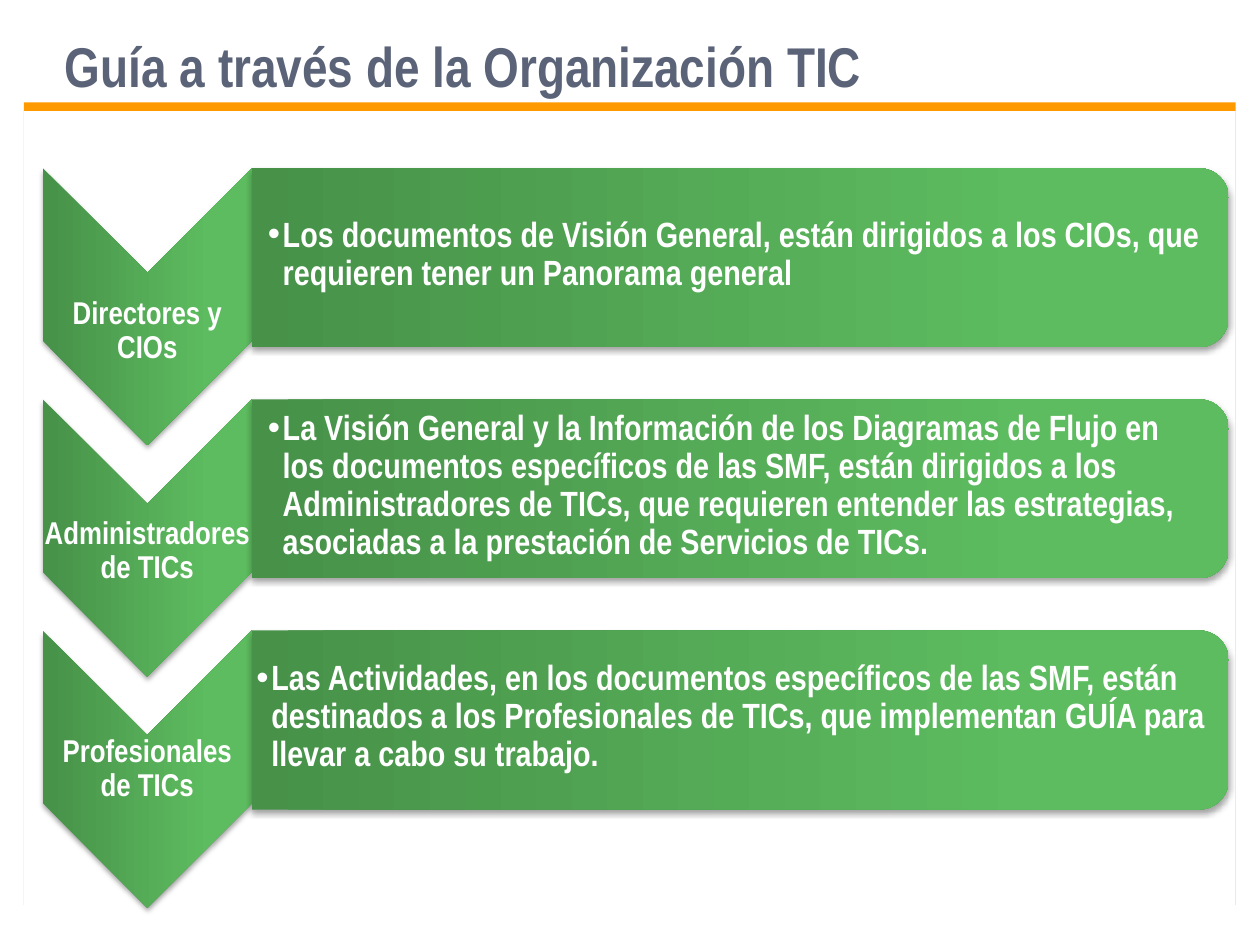
from lxml.etree import SubElement
from pptx import Presentation
from pptx.dml.color import RGBColor
from pptx.enum.shapes import MSO_SHAPE
from pptx.enum.text import MSO_ANCHOR, PP_ALIGN
from pptx.oxml.ns import qn
from pptx.util import Cm, Pt

WHITE = RGBColor(0xFF, 0xFF, 0xFF)
BLACK = RGBColor(0x00, 0x00, 0x00)
SLATE = RGBColor(0x5A, 0x63, 0x78)
ORANGE = RGBColor(0xFF, 0x99, 0x00)
GREEN_STOPS = [
    (0, RGBColor(0x47, 0x91, 0x49)),
    (80, RGBColor(0x5D, 0xBC, 0x5F)),
    (100, RGBColor(0x5B, 0xBF, 0x5E)),
]
FONT = "Arial Narrow"

ROWS = [
    ("Directores y CIOs", 2.44,
     "Los documentos de Visión General, están dirigidos a los CIOs, que "
     "requieren tener un Panorama general", 4.24, 21.39),
    ("Administradores de TICs", 2.22,
     "La Visión General y la Información de los Diagramas de Flujo en los "
     "documentos específicos de las SMF, están dirigidos a los Administradores "
     "de TICs, que requieren entender las estrategias, asociadas a la "
     "prestación de Servicios de TICs.", 4.24, 19.25),
    ("Profesionales de TICs", 1.96,
     "Las Actividades, en los documentos específicos de las SMF, están "
     "destinados a los Profesionales de TICs, que implementan GUÍA para llevar "
     "a cabo su trabajo.", 4.01, 19.46),
]


def add_shadow(sp, color, alpha, blur, dist, angle):
    sp.shadow.inherit = False
    effects = sp._element.spPr.find(qn("a:effectLst"))
    shadow = SubElement(effects, qn("a:outerShdw"), blurRad=str(Pt(blur)),
                        dist=str(Pt(dist)), dir=str(angle * 60000),
                        algn="ctr", rotWithShape="0")
    clr = SubElement(shadow, qn("a:srgbClr"), val=str(color))
    SubElement(clr, qn("a:alpha"), val=str(alpha * 1000))


def fill_green(sp):
    sp.fill.gradient()
    sp.fill.gradient_angle = 90
    stops = sp._element.spPr.find(qn("a:gradFill")).find(qn("a:gsLst"))
    for stop in list(stops):
        stops.remove(stop)
    for pos, color in GREEN_STOPS:
        stop = SubElement(stops, qn("a:gs"), pos=str(pos * 1000))
        SubElement(stop, qn("a:srgbClr"), val=str(color))


def add_turned_shape(s, kind, left, top, width, height):
    sp = s.shapes.add_shape(kind, Cm(left + (width - height) / 2),
                            Cm(top + (height - width) / 2),
                            Cm(height), Cm(width))
    sp.rotation = 90
    fill_green(sp)
    sp.line.fill.background()
    add_shadow(sp, BLACK, 35, 3.1, 1.8, 90)


def add_text(s, text, left, top, width, height, size, color, insets):
    tf = s.shapes.add_textbox(Cm(left), Cm(top), Cm(width), Cm(height)).text_frame
    tf.word_wrap = True
    tf.vertical_anchor = MSO_ANCHOR.MIDDLE
    tf.margin_left, tf.margin_top, tf.margin_right, tf.margin_bottom = map(Cm, insets)
    tf.text = text
    p = tf.paragraphs[0]
    p.line_spacing = 0.9
    font = p.runs[0].font
    font.name, font.size, font.bold = FONT, Pt(size), True
    font.color.rgb = color
    return p


def add_bullet(p, indent):
    pPr = p._p.get_or_add_pPr()
    pPr.set("marL", str(Cm(indent)))
    pPr.set("indent", str(-Cm(indent)))
    SubElement(pPr, qn("a:buFont"), typeface="Arial")
    SubElement(pPr, qn("a:buChar"), char="•")


def add_header(s, left, top, width):
    panel = s.shapes.add_shape(MSO_SHAPE.RECTANGLE, Cm(left), Cm(top + 1.6),
                               Cm(width), Cm(16.18))
    panel.fill.solid()
    panel.fill.fore_color.rgb = WHITE
    panel.line.fill.background()
    add_shadow(panel, ORANGE, 100, 0, 5, 270)
    add_text(s, "Guía a través de la Organización TIC", left + 0.58, top,
             24.33, 1.5, 32, SLATE, (0.25, 0.13, 0.25, 0.13))


def add_row(s, left, top, label, label_top, text, text_left, text_width):
    add_turned_shape(s, MSO_SHAPE.CHEVRON, left, top, 4.22, 5.59)
    p = add_text(s, label, left, top + label_top, 4.22, 1.68, 18, WHITE, [0.03] * 4)
    p.alignment = PP_ALIGN.CENTER
    add_turned_shape(s, MSO_SHAPE.ROUND_2_SAME_RECTANGLE,
                     left + 4.22, top, 19.69, 3.61)
    p = add_text(s, text, left + text_left, top + 0.43, text_width, 2.64,
                 20, WHITE, (0.3, 0.03, 0.03, 0.03))
    add_bullet(p, 0.3)


def main():
    prs = Presentation()
    prs.slide_width, prs.slide_height = Cm(25.4), Cm(19.05)
    s = prs.slides.add_slide(prs.slide_layouts[6])
    add_header(s, 0.48, 0.64, 24.43)
    for i, row in enumerate(ROWS):
        add_row(s, 0.86, 3.39 + i * 4.66, *row)
    prs.save("out.pptx")


if __name__ == "__main__":
    main()
